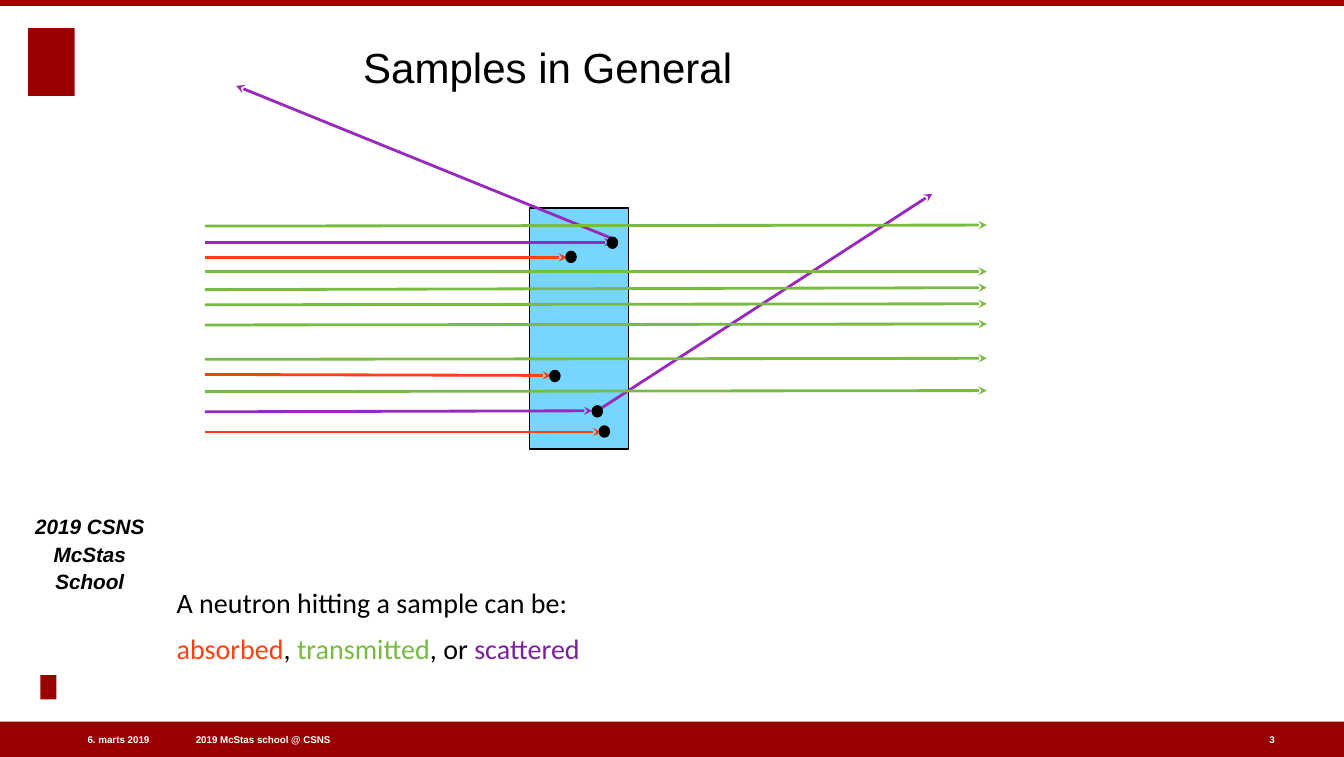
from lxml import etree
from pptx import Presentation
from pptx import util as u
from pptx.dml.color import RGBColor
from pptx.enum import shapes, text
from pptx.oxml import ns

PX = 9144
WIDTH, HEIGHT = 1332, 750
RED = RGBColor(0x99, 0x00, 0x00)
BLACK = RGBColor(0x00, 0x00, 0x00)
WHITE = RGBColor(0xFF, 0xFF, 0xFF)
SAMPLE_BLUE = RGBColor(0x76, 0xD6, 0xFF)
GREEN = RGBColor(0x77, 0xBB, 0x41)
ORANGE = RGBColor(0xFF, 0x40, 0x13)
PURPLE = RGBColor(0x99, 0x29, 0xBD)
DARK_PURPLE = RGBColor(0x7B, 0x21, 0x9F)

BEAM_START = 203
BEAM_END = 978
DOT_WIDTH, DOT_HEIGHT = 10, 11
TRANSMITTED = [(269, 269), (285, 287), (301, 302), (321, 322),
               (387, 388), (355, 356), (223, 224)]
ABSORBED = [(562, 255, 255), (546, 372, 371), (596, 428, 428)]
SCATTERED = [(607, 240, 240), (587, 407, 408)]
DEFLECTED = [((924, 192), (595, 405)), ((234, 85), (606, 236))]
HITS = [(566, 254), (550, 372), (592, 407), (599, 427), (607, 240)]

SMALL = {"name": "Arial", "size": u.Pt(7), "bold": True}
SCHOOL = {"name": "Arial", "size": u.Pt(14.8), "bold": True, "italic": True}
TITLE = {"name": "Arial", "size": u.Pt(30)}
BODY = {"name": "Calibri", "size": u.Pt(20)}


def px(*lengths):
    return [u.Emu(length * PX) for length in lengths]


def set_attributes(target, values):
    for name, value in values.items():
        setattr(target, name, value)


def add_block(slide, kind, box, fill, outline=None):
    shape = slide.shapes.add_shape(kind, *px(*box))
    shape.shadow.inherit = False
    shape.fill.solid()
    shape.fill.fore_color.rgb = fill
    if outline is None:
        shape.line.fill.background()
    else:
        shape.line.color.rgb = outline
        shape.line.width = u.Pt(1)


def add_arrow(slide, tip, start, color):
    connector = slide.shapes.add_connector(
        shapes.MSO_CONNECTOR.STRAIGHT, *px(*tip, *start))
    connector.line.color.rgb = color
    connector.line.width = u.Pt(2)
    line = connector.line._get_or_add_ln()
    etree.SubElement(line, ns.qn("a:headEnd"), type="stealth")
    etree.SubElement(connector._element.spPr, ns.qn("a:effectLst"))


def add_text(slide, box, paragraphs, font, frame_format=None,
             paragraph_format=None, inset=0):
    frame = slide.shapes.add_textbox(*px(*box)).text_frame
    margins = dict.fromkeys(
        ["margin_left", "margin_top", "margin_right", "margin_bottom"],
        u.Emu(inset * PX))
    set_attributes(frame, {"word_wrap": True, **margins, **(frame_format or {})})
    for index, runs in enumerate(paragraphs):
        paragraph = frame.add_paragraph() if index else frame.paragraphs[0]
        set_attributes(paragraph, paragraph_format or {})
        if index:
            paragraph.space_before = u.Pt(9)
        for words, color in runs:
            for number, line in enumerate(words.split("\n")):
                if number:
                    paragraph.add_line_break()
                run = paragraph.add_run()
                run.text = line
                set_attributes(run.font, font)
                run.font.color.rgb = color


def add_frame(slide):
    rectangle = shapes.MSO_SHAPE.RECTANGLE
    for box in [(28, 28, 46, 67), (0, 715, WIDTH, 35),
                (0, 0, WIDTH, 6), (40, 669, 16, 24)]:
        add_block(slide, rectangle, box, RED)
    middle = {"vertical_anchor": text.MSO_ANCHOR.MIDDLE}
    add_text(slide, (194, 726, 372, 14),
             [[("2019 McStas school @ CSNS", WHITE)]], SMALL, middle)
    add_text(slide, (27, 726, 121, 14), [[("6. marts 2019", WHITE)]], SMALL,
             middle, {"alignment": text.PP_ALIGN.RIGHT})
    add_text(slide, (1258, 726, 14, 14), [[("3", WHITE)]], SMALL,
             {**middle, "word_wrap": False})
    add_text(slide, (34, 509, 110, 79),
             [[("2019 CSNS\nMcStas School", BLACK)]], SCHOOL,
             {"vertical_anchor": text.MSO_ANCHOR.BOTTOM},
             {"alignment": text.PP_ALIGN.CENTER, "line_spacing": 1.1})


def add_beam_diagram(slide):
    add_block(slide, shapes.MSO_SHAPE.RECTANGLE, (525, 206, 98, 239),
              SAMPLE_BLUE, BLACK)
    for color, rays in [(ORANGE, ABSORBED), (PURPLE, SCATTERED)]:
        for tip_x, tip_y, start_y in rays:
            add_arrow(slide, (tip_x, tip_y), (BEAM_START, start_y), color)
    for tip, start in DEFLECTED:
        add_arrow(slide, tip, start, PURPLE)
    for tip_y, start_y in TRANSMITTED:
        add_arrow(slide, (BEAM_END, tip_y), (BEAM_START, start_y), GREEN)
    for x, y in HITS:
        box = (x - DOT_WIDTH // 2, y - DOT_HEIGHT // 2, DOT_WIDTH, DOT_HEIGHT)
        add_block(slide, shapes.MSO_SHAPE.OVAL, box, BLACK, BLACK)


def main():
    presentation = Presentation()
    presentation.slide_width, presentation.slide_height = px(WIDTH, HEIGHT)
    slide = presentation.slides.add_slide(presentation.slide_layouts[6])
    add_frame(slide)
    add_text(slide, (360, 41, 901, 46), [[("Samples in General", BLACK)]], TITLE)
    add_beam_diagram(slide)
    add_text(slide, (171, 576, 899, 85), [
        [("A neutron hitting a sample can be:", BLACK)],
        [("absorbed", ORANGE), (", ", BLACK), ("transmitted", GREEN),
         (", or ", BLACK), ("scattered", DARK_PURPLE)],
    ], BODY, inset=4)
    presentation.save("out.pptx")


if __name__ == "__main__":
    main()
